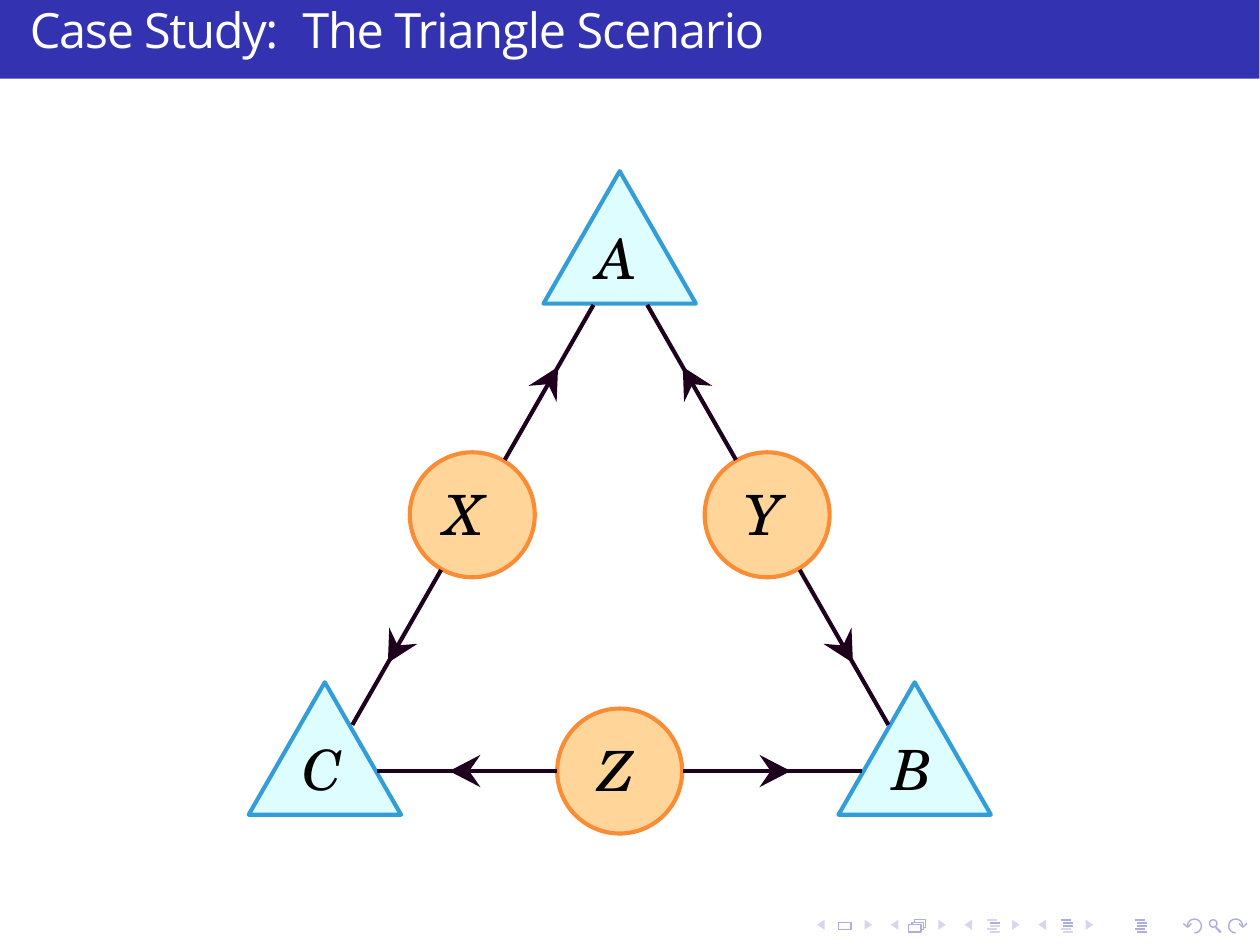
import math

from lxml import etree
from pptx import Presentation
from pptx import util as u
from pptx.dml.color import RGBColor
from pptx.enum import shapes, text
from pptx.oxml import ns

NAVY, LAVENDER, PALE = "3333B2", "ADADE0", "D6D6EF"
INK = "1E001E"
SHAPE = shapes.MSO_SHAPE
STEP = 0.295
TRIANGLES = [("C", 1.3, 3.08, 1.2, 1.4), ("B", 3.66, 3.08, 3.56, 1.9), ("A", 2.48, 1.035, 2.38, 1.5)]
CIRCLES = [("X", 1.89, 2.06, 1.77, 2.1), ("Y", 3.07, 2.06, 2.97, -0.3), ("Z", 2.48, 3.085, 2.38, 1.6)]
ARROWS = [
    ((2.02, 1.84), (2.375, 1.22)),
    ((1.765, 2.28), (1.41, 2.9)),
    ((2.945, 1.84), (2.59, 1.22)),
    ((3.2, 2.28), (3.555, 2.9)),
    ((2.735, 3.085), (3.45, 3.085)),
    ((2.23, 3.085), (1.51, 3.085)),
]


def colour(value):
    return RGBColor.from_string(value)


def paint(shape, fill=None, line=None, weight=0.4):
    shape.shadow.inherit = False
    if fill:
        shape.fill.solid()
        shape.fill.fore_color.rgb = colour(fill)
    else:
        shape.fill.background()
    if line:
        shape.line.color.rgb = colour(line)
        shape.line.width = u.Pt(weight)
    else:
        shape.line.fill.background()


def add_preset(page, kind, left, top, width, height, **style):
    shape = page.shapes.add_shape(kind, *map(u.Inches, (left, top, width, height)))
    paint(shape, **style)


def add_outline(page, points, close=True, **style):
    corners = [(u.Inches(x), u.Inches(y)) for x, y in points]
    builder = page.shapes.build_freeform(*corners[0])
    builder.add_line_segments(corners[1:], close=close)
    paint(builder.convert_to_shape(), **style)


def add_line(page, start, end, line, weight):
    connector = page.shapes.add_connector(
        shapes.MSO_CONNECTOR.STRAIGHT, *map(u.Inches, (*start, *end)))
    connector.line.color.rgb = colour(line)
    connector.line.width = u.Pt(weight)
    etree.SubElement(connector._element.spPr, ns.qn("a:effectLst"))


def add_text(page, left, top, width, height, spans, font, size, tint, italic=False):
    box = page.shapes.add_textbox(*map(u.Inches, (left, top, width, height)))
    frame = box.text_frame
    frame.word_wrap = False
    frame.margin_left = frame.margin_right = frame.margin_top = frame.margin_bottom = 0
    para = frame.paragraphs[0]
    para.alignment = text.PP_ALIGN.LEFT
    for words, spacing in spans:
        span = para.add_run()
        span.text = words
        span.font.name = font
        span.font.size = u.Pt(size)
        span.font.italic = italic
        span.font.color.rgb = colour(tint)
        span.font._element.set("spc", str(round(spacing * 100)))


def add_label(page, name, y, left, spacing):
    add_text(page, left + 0.01, y - 0.14, 0.2, 0.29, [(name, spacing)],
             "TeX Gyre Schola", 16, "000000", italic=True)


def add_arrow(page, start, end):
    add_line(page, start, end, INK, 1.2)
    length = math.dist(start, end)
    across, down = [(b - a) / length for a, b in zip(start, end)]
    tip = [a + 0.6 * (b - a) for a, b in zip(start, end)]
    barb = [(0, 0), (-0.125, 0.065), (-0.08, 0), (-0.125, -0.065)]
    add_outline(page, [(tip[0] + along * across - side * down,
                        tip[1] + along * down + side * across)
                       for along, side in barb], fill=INK)


def add_step_arrows(page, left):
    for base, tip in ((left + 0.03, left), (left + 0.19, left + 0.22)):
        add_outline(page, [(base, 3.68), (tip, 3.7), (base, 3.72)], fill=PALE)


def add_text_lines(page, left, dark):
    for row, indent in enumerate((0, 0.01, 0.01, 0, 0.01)):
        y = 3.68 + 0.0125 * row
        add_line(page, (left + indent, y), (left + indent + 0.04, y),
                 LAVENDER if row in dark else PALE, 0.6)


def add_turn(page, x, side):
    angles = [math.radians(180 + 22.5 * turn) for turn in range(13)]
    arc = [(x + side * 0.028 * math.cos(angle), 3.705 + 0.028 * math.sin(angle))
           for angle in angles]
    hook = [(x + side * offset, y) for offset, y in ((-0.013, 3.695), (-0.028, 3.71), (-0.045, 3.695))]
    for points in (arc, hook):
        add_outline(page, points, close=False, line=LAVENDER)


def add_navigation(page):
    for index in range(4):
        add_step_arrows(page, 3.27 + STEP * index)
    add_preset(page, SHAPE.RECTANGLE, 3.355, 3.69, 0.05, 0.03, line=LAVENDER)
    add_preset(page, SHAPE.RECTANGLE, 3.635, 3.7, 0.05, 0.03, line=LAVENDER)
    for x, y in ((3.65, 3.69), (3.66, 3.68)):
        add_outline(page, [(x, y + 0.01), (x, y), (x + 0.045, y), (x + 0.045, y + 0.03), (x + 0.035, y + 0.03)],
                    close=False, line=LAVENDER)
    for index, dark in enumerate(((1,), (0, 1, 2), range(5))):
        add_text_lines(page, 3.95 + STEP * index, dark)
    add_preset(page, SHAPE.OVAL, 4.84, 3.68, 0.03, 0.03, line=LAVENDER)
    add_line(page, (4.865, 3.71), (4.885, 3.73), LAVENDER, 0.6)
    add_turn(page, 4.78, 1)
    add_turn(page, 4.945, -1)


def main():
    deck = Presentation()
    deck.slide_width, deck.slide_height = u.Pt(363), u.Pt(272.5)
    page = deck.slides.add_slide(deck.slide_layouts[6])
    add_navigation(page)
    add_preset(page, SHAPE.RECTANGLE, 0, 0, 5.04, 0.315, fill=NAVY)
    add_text(page, 0.12, 0, 4.83, 0.25,
             [("Case Study:", -0.4), (" ", 3.2), ("The Triangle Scenario", -0.35)],
             "Open Sans", 14, "FFFFFF")
    for name, x, y, left, spacing in TRIANGLES:
        add_preset(page, SHAPE.ISOSCELES_TRIANGLE, x - 0.305, y - 0.35, 0.61, 0.53,
                   fill="DEFDFF", line="339DD7", weight=1.2)
        add_label(page, name, y, left, spacing)
    for name, x, y, left, spacing in CIRCLES:
        add_preset(page, SHAPE.OVAL, x - 0.25, y - 0.25, 0.5, 0.5,
                   fill="FFD599", line="FA8C35", weight=1.2)
        add_label(page, name, y, left, spacing)
    for start, end in ARROWS:
        add_arrow(page, start, end)
    deck.save("out.pptx")


if __name__ == "__main__":
    main()
